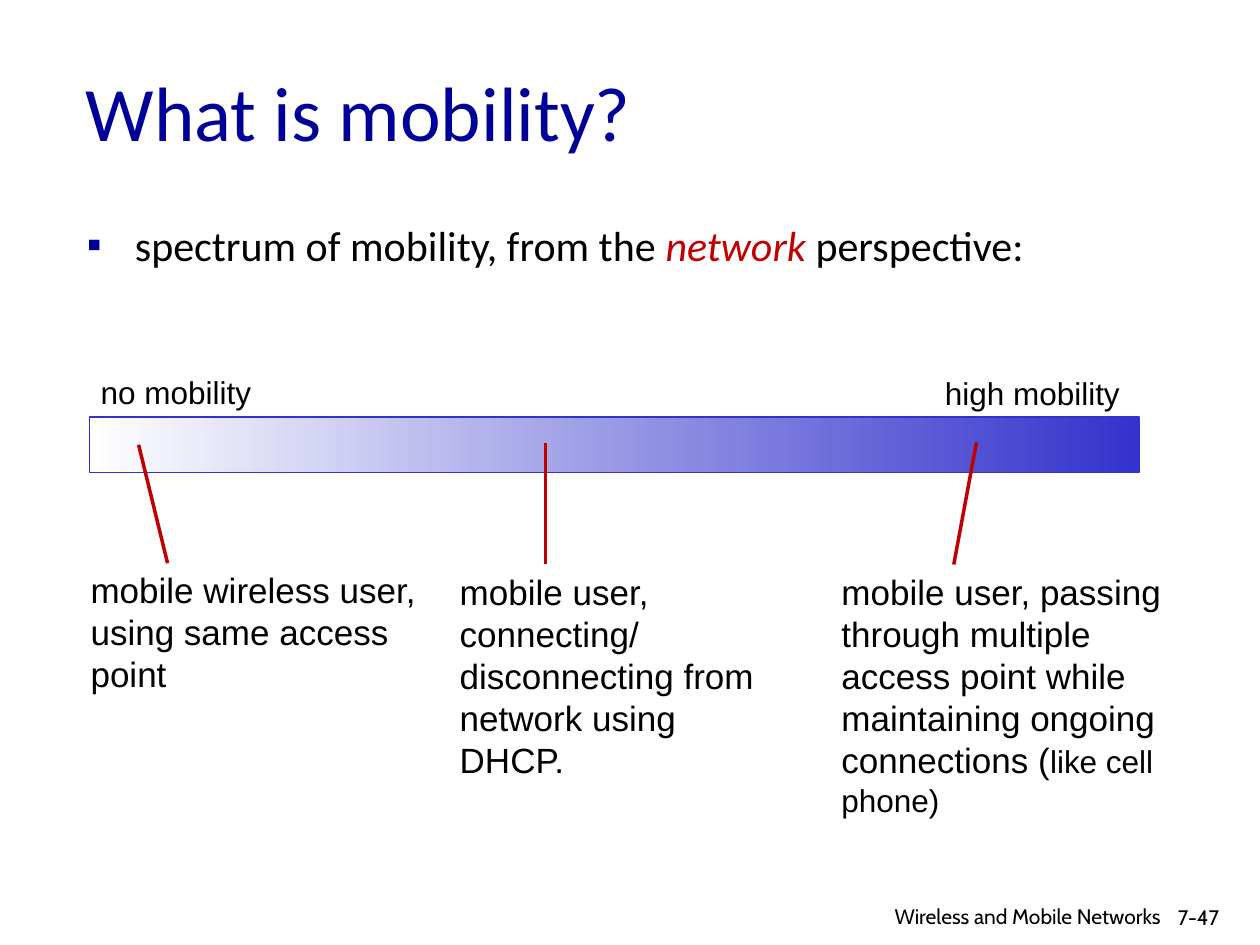
import dataclasses
import typing

import lxml.etree
import pptx
import pptx.dml.color
import pptx.enum.shapes
import pptx.enum.text
import pptx.oxml.ns
import pptx.util

Inches = pptx.util.Inches
Pt = pptx.util.Pt
qn = pptx.oxml.ns.qn
Align = pptx.enum.text.PP_ALIGN
Anchor = pptx.enum.text.MSO_ANCHOR

COLORS = {"title": "000099", "text": "000000", "accent": "C00000",
          "bar_start": "FFFFFF", "bar_end": "3333CC"}


@dataclasses.dataclass
class Span:
    text: str
    size: float
    font: str = "Arial"
    color: str = "text"
    italic: bool = False


@dataclasses.dataclass
class Label:
    area: tuple[float, float, float, float]
    paragraphs: list[list[Span]]
    wrap: bool = True
    align: Align = Align.LEFT


@dataclasses.dataclass
class Pointer:
    start: tuple[float, float]
    end: tuple[float, float]


def rgb(name: str) -> pptx.dml.color.RGBColor:
    return pptx.dml.color.RGBColor.from_string(COLORS[name])


def add_spans(para: typing.Any, spans: list[Span]) -> None:
    for span in spans:
        run = para.add_run()
        run.text = span.text
        run.font.size = Pt(span.size)
        run.font.name = span.font
        run.font.italic = span.italic
        run.font.color.rgb = rgb(span.color)


def place(box: typing.Any, area: tuple[float, float, float, float]) -> None:
    box.left, box.top, box.width, box.height = map(Inches, area)
    box.text_frame.auto_size = pptx.enum.text.MSO_AUTO_SIZE.NONE


def add_bullet(para: typing.Any, color: str, char: str) -> None:
    properties = para._p.get_or_add_pPr()
    properties.set("marL", str(Inches(0.38)))
    properties.set("indent", str(Inches(-0.38)))
    bullet_color = lxml.etree.SubElement(properties, qn("a:buClr"))
    lxml.etree.SubElement(bullet_color, qn("a:srgbClr"), val=COLORS[color])
    lxml.etree.SubElement(properties, qn("a:buFont"), typeface="Arial")
    lxml.etree.SubElement(properties, qn("a:buChar"), char=char)


def add_label(page: typing.Any, label: Label) -> None:
    box = page.shapes.add_textbox(*map(Inches, label.area))
    frame = box.text_frame
    frame.word_wrap = label.wrap
    for index, spans in enumerate(label.paragraphs):
        para = frame.add_paragraph() if index else frame.paragraphs[0]
        para.alignment = label.align
        add_spans(para, spans)


def add_pointer(page: typing.Any, pointer: Pointer) -> None:
    line = page.shapes.add_connector(
        pptx.enum.shapes.MSO_CONNECTOR.STRAIGHT,
        *map(Inches, pointer.start + pointer.end))
    line.line.color.rgb = rgb("accent")
    line.line.width = Pt(2)
    lxml.etree.SubElement(line._element.spPr, qn("a:effectLst"))


def add_spectrum_bar(page: typing.Any) -> None:
    bar = page.shapes.add_shape(
        pptx.enum.shapes.MSO_SHAPE.RECTANGLE,
        *map(Inches, (0.71, 3.31, 8.33, 0.44)))
    bar.shadow.inherit = False
    bar.fill.gradient()
    bar.fill.gradient_angle = 0
    for stop, position, color in zip(
            bar.fill.gradient_stops, (0, 1), ("bar_start", "bar_end")):
        stop.position = position
        stop.color.rgb = rgb(color)
    bar.line.color.rgb = rgb("bar_end")
    bar.line.width = Pt(0.75)


LABELS = [
    # Ends of the spectrum
    Label((0.7, 2.91, 1.41, 0.4), [[Span("no mobility", 18)]], wrap=False),
    Label((7.4, 2.92, 1.6, 0.4), [[Span("high mobility", 18)]], wrap=False),
    # Examples along the spectrum
    Label((0.62, 4.46, 2.98, 1.1),
          [[Span(text, 20)] for text in
           ("mobile wireless user,", "using same access", "point")],
          wrap=False),
    Label((6.58, 4.48, 2.94, 2.07),
          [[Span("mobile user, passing through multiple access point while "
                 "maintaining ongoing connections (", 20),
            Span("like cell phone)", 18)]]),
    Label((3.55, 4.48, 2.66, 1.77),
          [[Span("mobile user, connecting/ disconnecting from network "
                 "using DHCP.", 20)]]),
    # Footer
    Label((9.25, 7.13, 0.75, 0.3), [[Span("7-47", 12, "Cabin")]]),
    Label((6.4, 7.12, 2.95, 0.28),
          [[Span("Wireless and Mobile Networks ", 12, "Cabin")]],
          align=Align.RIGHT),
]

POINTERS = [
    Pointer((1.33, 4.47), (1.1, 3.53)),
    Pointer((4.33, 4.48), (4.33, 3.52)),
    Pointer((7.57, 4.48), (7.75, 3.51)),
]


def main() -> None:
    deck = pptx.Presentation()
    deck.slide_width, deck.slide_height = Inches(10), Inches(7.5)
    page = deck.slides.add_slide(deck.slide_layouts[1])

    # Title
    title = page.shapes.title
    place(title, (0.58, 0.25, 8.5, 1.25))
    title.text_frame.vertical_anchor = Anchor.MIDDLE
    heading = title.text_frame.paragraphs[0]
    heading.alignment = Align.LEFT
    add_spans(heading, [Span("What is mobility?", 44, "Calibri", "title")])

    # Bulleted statement
    body = page.placeholders[1]
    place(body, (0.59, 1.75, 8.97, 0.63))
    para = body.text_frame.paragraphs[0]
    add_bullet(para, "title", "▪")
    para.line_spacing = 0.85
    para.space_before = Pt(0)
    add_spans(para, [
        Span("spectrum of mobility, from the ", 24, "Calibri"),
        Span("network ", 24, "Calibri", "accent", italic=True),
        Span("perspective:", 24, "Calibri")])

    # Spectrum with its labels and pointers
    add_spectrum_bar(page)
    for label in LABELS:
        add_label(page, label)
    for pointer in POINTERS:
        add_pointer(page, pointer)

    deck.save("out.pptx")


if __name__ == "__main__":
    main()
